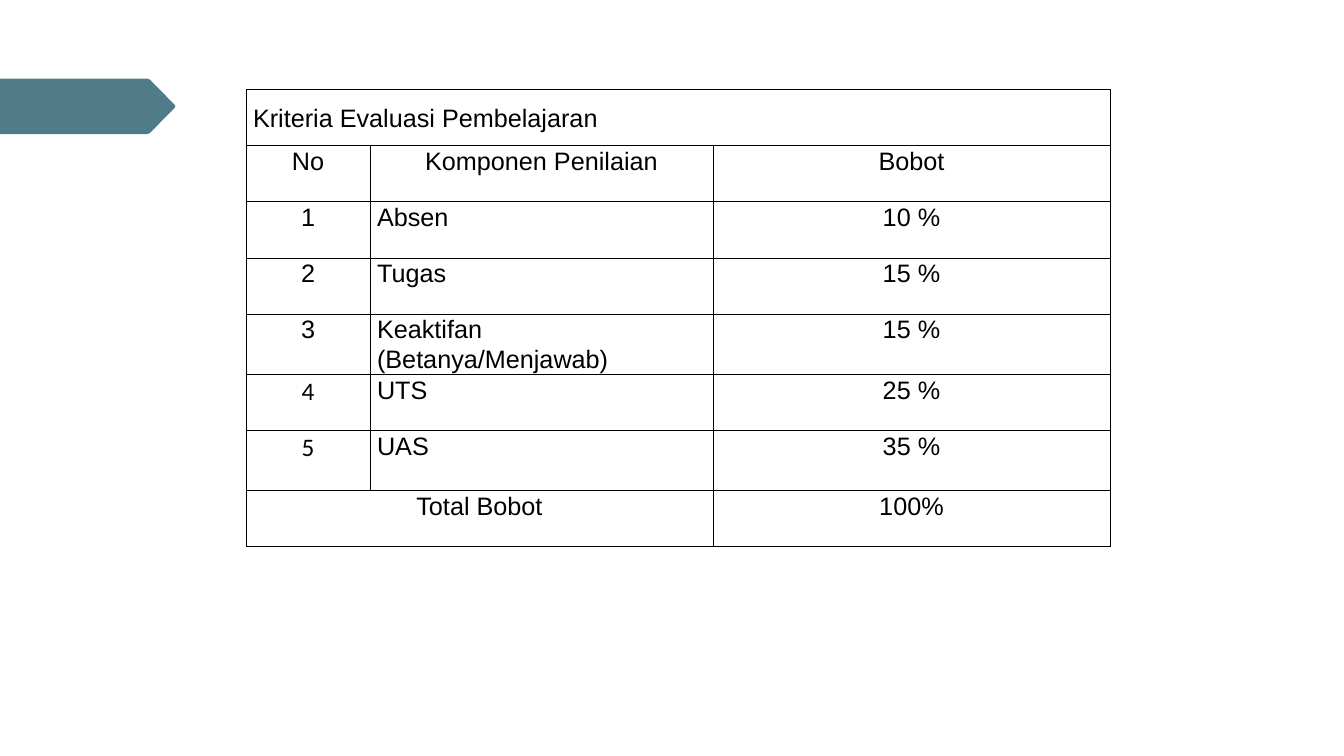
from dataclasses import dataclass

from lxml.etree import SubElement as Sub
from pptx import Presentation
from pptx.dml.color import RGBColor as RGB
from pptx.enum.text import MSO_ANCHOR as Anchor, PP_ALIGN as Align
from pptx.oxml.ns import qn
from pptx.util import Inches, Pt


@dataclass(frozen=True)
class Theme:
    ink: str = "000000"
    teal: str = "507C89"
    font: str = "Arial"
    alt: str = "Calibri"
    size: float = 18
    rule: float = 0.5
    lead: float = 1.07


THEME = Theme()
WIDE, HIGH = 13.33, 7.5
TAG = (0, 0.78, 1.74, 0.55)
GRID = (2.44, 0.89, 8.57, 4.49)
COLS = (1.23, 3.4, 3.94)
ROWS = (0.55,) * 6 + (0.59, 0.55)

TITLE = "Kriteria Evaluasi Pembelajaran"
HEAD = ("No", "Komponen Penilaian", "Bobot")
ITEMS = (
    ("Absen", "10 %"),
    ("Tugas", "15 %"),
    ("Keaktifan (Betanya/Menjawab)", "15 %"),
    ("UTS", "25 %"),
    ("UAS", "35 %"),
)
TOTAL = ("Total Bobot", "100%")


def write(cell, text, align=Align.CENTER, font=THEME.font, after=8):
    para = cell.text_frame.paragraphs[0]
    para.alignment = align
    para.line_spacing = THEME.lead
    para.space_after = Pt(after)
    run = para.add_run()
    run.text = text
    run.font.name = font
    run.font.size = Pt(THEME.size)
    run.font.color.rgb = RGB.from_string(THEME.ink)


def frame(cell):
    """Clear the fill, set the insets and rule all four sides."""
    cell.margin_left = cell.margin_right = Inches(0.07)
    cell.margin_top = cell.margin_bottom = 0
    props = cell._tc.get_or_add_tcPr()
    for side in ("a:lnL", "a:lnR", "a:lnT", "a:lnB"):
        line = Sub(props, qn(side), w=str(Pt(THEME.rule)))
        fill = Sub(line, qn("a:solidFill"))
        Sub(fill, qn("a:srgbClr"), val=THEME.ink)
    cell.fill.background()


def tag(slide, box):
    """Draw the pointed tab with a slightly blunted tip."""
    left, top, wide, high = box
    shares = ((0, 0), (0.84, 0), (0.855, 0.02), (0.995, 0.47), (1, 0.5),
              (0.995, 0.53), (0.855, 0.98), (0.84, 1), (0, 1))
    spots = [(Inches(left + x * wide), Inches(top + y * high))
             for x, y in shares]
    pen = slide.shapes.build_freeform(*spots[0])
    pen.add_line_segments(spots[1:], close=True)
    shape = pen.convert_to_shape()
    shape.shadow.inherit = False
    shape.fill.solid()
    shape.fill.fore_color.rgb = RGB.from_string(THEME.teal)
    shape.line.fill.background()


def grid(slide, box):
    """Build the table of graded parts and their weights."""
    table = slide.shapes.add_table(
        len(ROWS), len(COLS), *map(Inches, box)).table
    table.first_row = table.horz_banding = False
    for col, share in zip(table.columns, COLS):
        col.width = Inches(box[2] * share / sum(COLS))
    for row, share in zip(table.rows, ROWS):
        row.height = Inches(box[3] * share / sum(ROWS))
    for cell in table.iter_cells():
        frame(cell)

    last = len(ROWS) - 1
    top = table.cell(0, 0)
    top.merge(table.cell(0, 2))
    top.vertical_anchor = Anchor.MIDDLE
    write(top, TITLE, align=Align.LEFT, after=0)
    for col, text in enumerate(HEAD):
        write(table.cell(1, col), text)
    for num, (part, load) in enumerate(ITEMS, 1):
        row = num + 1
        write(table.cell(row, 0), str(num),
              font=THEME.alt if num > 3 else THEME.font)
        write(table.cell(row, 1), part, align=Align.LEFT)
        write(table.cell(row, 2), load)
    table.cell(last, 0).merge(table.cell(last, 1))
    for col, text in zip((0, 2), TOTAL):
        write(table.cell(last, col), text)


def main():
    deck = Presentation()
    deck.slide_width, deck.slide_height = Inches(WIDE), Inches(HIGH)
    slide = deck.slides.add_slide(deck.slide_layouts[6])
    tag(slide, TAG)
    grid(slide, GRID)
    deck.save("out.pptx")


if __name__ == "__main__":
    main()
